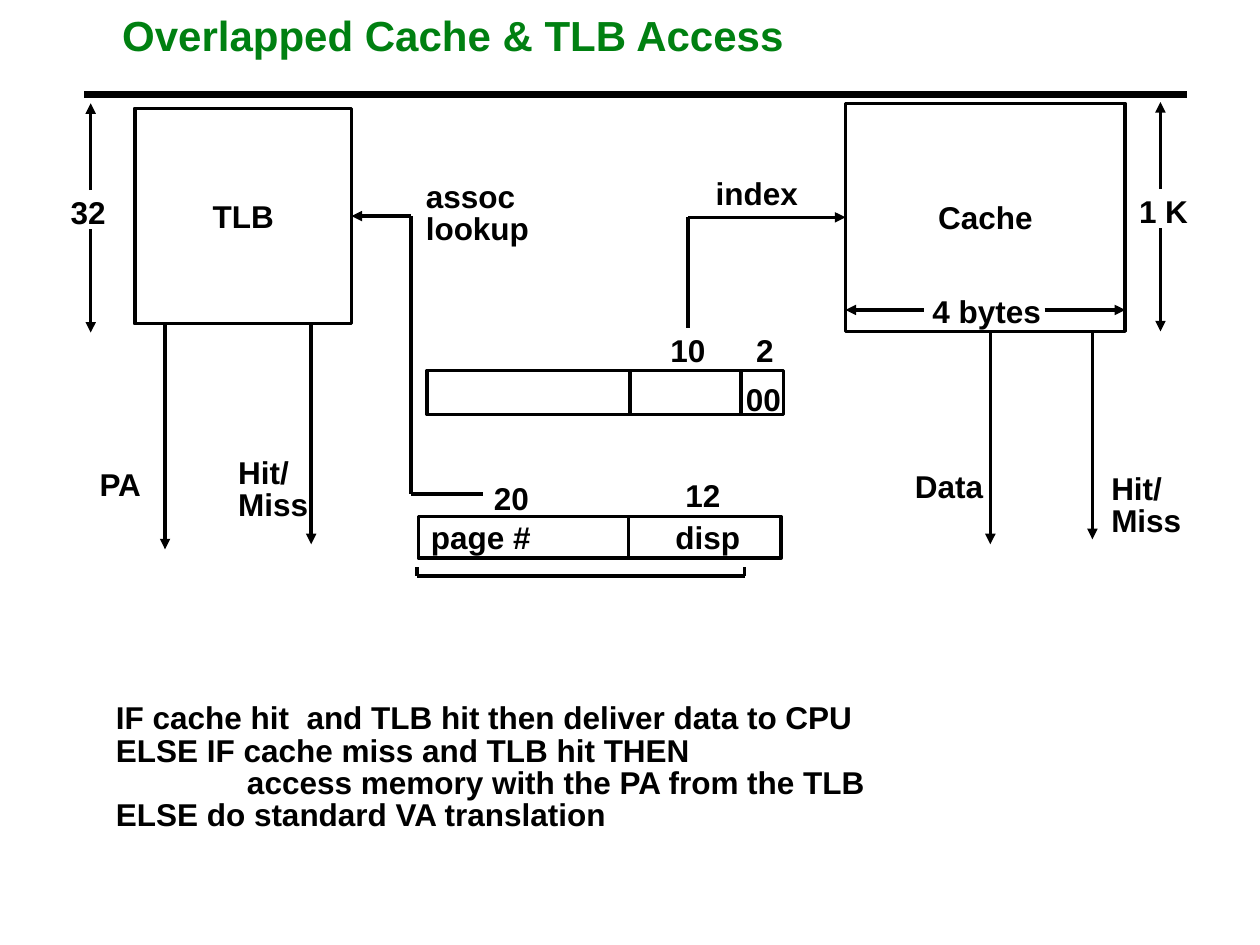
from lxml import etree
from pptx import Presentation
from pptx import util as u
from pptx.dml.color import RGBColor
from pptx.enum import shapes, text
from pptx.oxml.ns import qn

COLS, ROWS = 100, 75
CELL = u.Inches(10) / COLS
COLORS = {"ink": "000000", "title": "008011"}


def grid(*cells):
    return [u.Emu(round(c * CELL)) for c in cells]


def style(tf, size=18, color="ink"):
    for p in tf.paragraphs:
        for r in p.runs:
            r.font.name, r.font.size, r.font.bold = "Arial", u.Pt(size), True
            r.font.color.rgb = RGBColor.from_string(COLORS[color])


def label(s, box, words, size=18, color="ink", spacing=0.85):
    tf = s.shapes.add_textbox(*grid(*box)).text_frame
    tf.text = words
    tf.word_wrap = True
    tf.auto_size = text.MSO_AUTO_SIZE.SHAPE_TO_FIT_TEXT
    tf.margin_left, tf.margin_right = u.Inches(0.07), 0
    tf.margin_top = tf.margin_bottom = u.Inches(0.03)
    for p in tf.paragraphs:
        p.line_spacing = spacing
    style(tf, size, color)
    return tf


def block(s, box, words=""):
    sp = s.shapes.add_shape(shapes.MSO_SHAPE.RECTANGLE, *grid(*box))
    sp.shadow.inherit = False
    sp.fill.background()
    sp.line.color.rgb = RGBColor.from_string(COLORS["ink"])
    sp.line.width = u.Pt(2)
    if words:
        tf = sp.text_frame
        tf.text = words
        tf.word_wrap = False
        tf.vertical_anchor = text.MSO_ANCHOR.MIDDLE
        tf.paragraphs[0].alignment = text.PP_ALIGN.CENTER
        style(tf)
    return sp


def line(s, x1, y1, x2, y2, arrow=False, width=2):
    c = s.shapes.add_connector(shapes.MSO_CONNECTOR.STRAIGHT, *grid(x1, y1, x2, y2))
    c.line.color.rgb = RGBColor.from_string(COLORS["ink"])
    c.line.width = u.Pt(width)
    if arrow:
        etree.SubElement(c.line._get_or_add_ln(), qn("a:tailEnd"), type="triangle")
    etree.SubElement(c._element.spPr, qn("a:effectLst"))
    return c


def polyline(s, points, arrow=False):
    last = len(points) - 2
    for i, (a, b) in enumerate(zip(points, points[1:])):
        c = line(s, *a, *b, arrow=arrow and i == last)
    return c


def header(s, box):
    x, y, w, h = box
    label(s, (x + 2.3, y, 54, 4), "Overlapped Cache & TLB Access", 24, "title", 0.87)
    line(s, x, y + h, x + w, y + h, width=4.5)


def memory(s, box, name, depth, outputs):
    x, y, w, h = box
    sp = block(s, box, name)
    dx, top, bottom, words, (lx, ly, lw, lh) = depth
    label(s, (x + lx, y + ly, lw, lh), words)
    line(s, x + dx, y + ly - 0.4, x + dx, top, arrow=True)
    line(s, x + dx, y + ly + 2.7, x + dx, bottom, arrow=True)
    for dx, end, words, (lx, ly, lw, lh) in outputs:
        line(s, x + dx, y + h, x + dx, end, arrow=True)
        label(s, (x + lx, y + ly, lw, lh), words)
    return sp


def byte_width(s, box):
    x, y, w, h = box
    row = y + h - 1.7
    label(s, (x + 6.2, row - 1.3, 10, 3.1), "4 bytes")
    line(s, x + 15.8, row, x + w, row, arrow=True)
    line(s, x + 6.2, row, x, row, arrow=True)


def fields(s, box, splits, labels):
    x, y, w, h = box
    block(s, box)
    for dx in splits:
        line(s, x + dx, y, x + dx, y + h)
    for words, dx, dy, width in labels:
        label(s, (x + dx, y + dy, width, 3.1), words)


def bracket(s, box):
    x, y, w, h = box
    polyline(s, [(x, y), (x, y + h), (x + w, y + h), (x + w, y)])


def lookup(s, box, tlb):
    x, y, w, h = box
    right, bottom = x + w, y + h
    c = polyline(s, [(right, bottom), (x + 4.7, bottom), (x + 4.7, y), (x, y)], True)
    c.end_connect(tlb, 3)
    label(s, (x + 5.2, y - 2.95, 9.6, 5.7), "assoc\nlookup")


def index(s, box, cache):
    x, y, w, h = box
    c = polyline(s, [(x, y + h), (x, y), (x + w, y)], True)
    c.end_connect(cache, 1)
    label(s, (x + 1.5, y - 3.25, 7.9, 3.1), "index")


def rules(s, box):
    tf = label(s, box, "IF cache hit  and TLB hit then deliver data to CPU\n"
                       "ELSE IF cache miss and TLB hit THEN\n"
                       "access memory with the PA from the TLB\n"
                       "ELSE do standard VA translation")
    tf.paragraphs[2]._p.get_or_add_pPr().set("marL", str(u.Inches(1.04)))


def main():
    prs = Presentation()
    prs.slide_width, prs.slide_height = grid(COLS, ROWS)
    s = prs.slides.add_slide(prs.slide_layouts[6])

    header(s, (6.7, 1, 87.5, 6.5))

    tlb_box = (10.7, 8.6, 17.2, 17.1)
    tlb = memory(s, tlb_box, "TLB", (-3.5, 8.2, 26.4, "32", (-5.8, 6.9, 4.2, 3.1)), [
        (2.4, 43.6, "PA", (-3.5, 28.5, 4.9, 3.1)),
        (14, 43.2, "Hit/\nMiss", (7.5, 27.5, 7, 5.7)),
    ])
    cache_box = (67.1, 8.2, 22.2, 18.1)
    cache = memory(s, cache_box, "Cache", (25, 8.1, 26.3, "1 K", (22.6, 7.2, 5.3, 3.1)), [
        (11.5, 43.2, "Data", (4.8, 29, 6.8, 3.1)),
        (19.6, 42.8, "Hit/\nMiss", (20.4, 29.2, 7, 5.7)),
    ])
    byte_width(s, cache_box)

    fields(s, (33.9, 29.4, 28.3, 3.5), (16.1, 24.9), [
        ("10", 18.6, -3, 4.2), ("2", 25.4, -3, 2.8), ("00", 24.6, 0.9, 4.2)])
    fields(s, (33.2, 41, 28.8, 3.3), (16.7,), [
        ("20", 5.3, -2.8, 4.2), ("12", 20.5, -3.1, 4.2),
        ("page #", 0.3, 0.3, 9.3), ("disp", 19.7, 0.3, 6.5)])
    bracket(s, (33.1, 45, 26, 0.7))

    lookup(s, (27.9, 17.15, 10.4, 22.05), tlb)
    index(s, (54.6, 17.25, 12.5, 8.75), cache)
    rules(s, (8.5, 55.6, 61.1, 10.8))
    prs.save("out.pptx")


if __name__ == "__main__":
    main()
